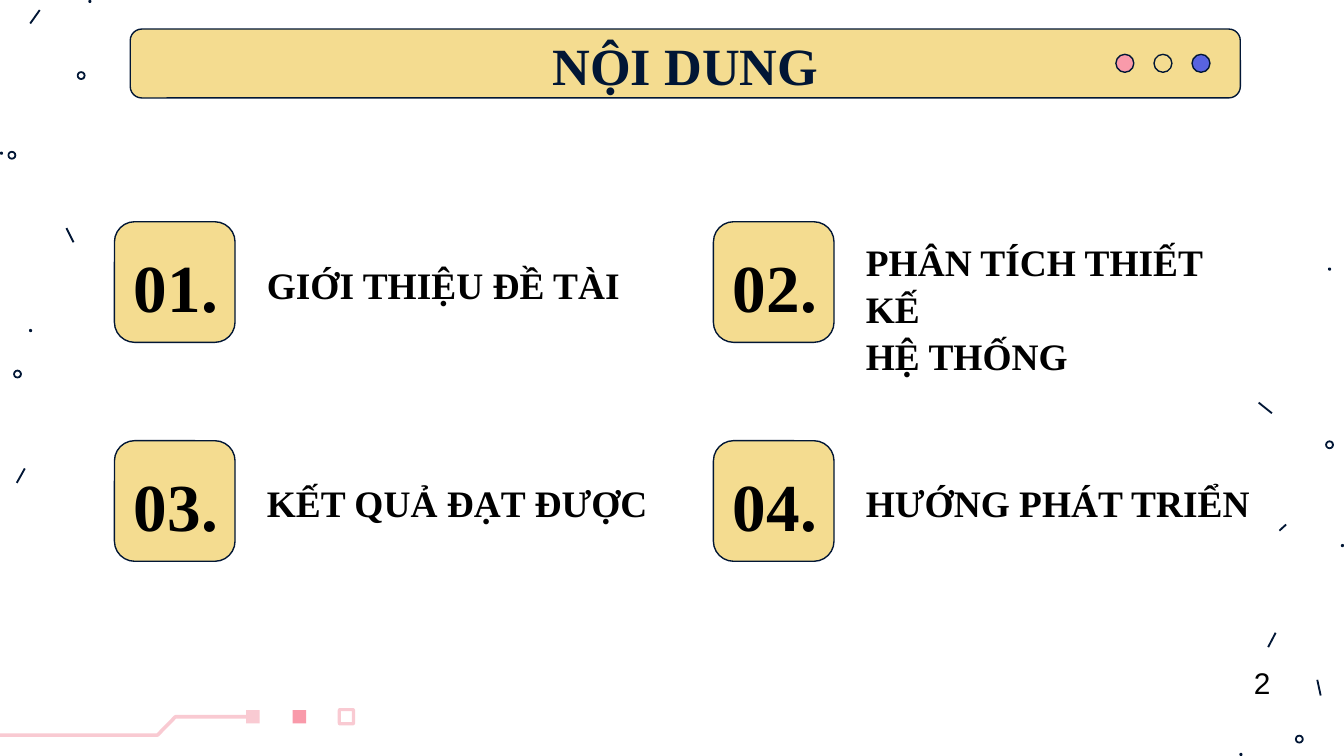
from lxml.etree import SubElement
from pptx import Presentation
from pptx.dml.color import RGBColor
from pptx.enum.shapes import MSO_CONNECTOR as Link, MSO_SHAPE as Shape
from pptx.enum.text import MSO_ANCHOR as Anchor, PP_ALIGN as Align
from pptx.oxml.ns import qn
from pptx.util import Pt

COLORS = {"ink": "011635", "gold": "F4DC90", "pink": "F99AAA",
          "blush": "F9CAD2", "blue": "5863E0", "black": "000000"}
SERIF = "Times New Roman"

STROKES = [(21.3, 5.4, 16.2, 12.6), (35.6, 122.2, 39.4, 129.8),
           (13.3, 251, 9, 258.7), (674.3, 215.7, 681.4, 221.4),
           (705.7, 364.2, 707.5, 372.6), (683.4, 339, 679.4, 346.7),
           (689, 281, 685.4, 284.3)]
RINGS = [(43.5, 40.5), (9.4, 200.4), (6.4, 83.2), (712.3, 238.3), (696.1, 396)]
DOTS = [(16.4, 177.1), (48.2, 0.8), (0.8, 82.1), (719.2, 292.3),
        (664.8, 404.2), (712.3, 144.2)]
TOPICS = [["GIỚI THIỆU ĐỀ TÀI"], ["PHÂN TÍCH THIẾT KẾ", "HỆ THỐNG"],
          ["KẾT QUẢ ĐẠT ĐƯỢC"], ["HƯỚNG PHÁT TRIỂN"]]


def color(name):
    """Return the named colour."""
    return RGBColor.from_string(COLORS[name])


def add_figure(page, kind, box, fill=None, line=None, width=0.75, adjust=None):
    """Add a preset shape with a plain fill and outline."""
    figure = page.shapes.add_shape(kind, *map(Pt, box))
    figure.shadow.inherit = False
    if fill:
        figure.fill.solid()
        figure.fill.fore_color.rgb = color(fill)
    else:
        figure.fill.background()
    if line:
        figure.line.color.rgb = color(line)
        figure.line.width = Pt(width)
    else:
        figure.line.fill.background()
    if adjust is not None:
        figure.adjustments[0] = adjust
    return figure


def add_text(page, box, lines, size, font=SERIF, ink="black", bold=True, align=Align.LEFT,
             anchor=Anchor.TOP, margins=(7.2, 3.6, 7.2, 3.6), spacing=None, wrap=True):
    """Add a text box with one paragraph for each line."""
    frame = page.shapes.add_textbox(*map(Pt, box)).text_frame
    frame.word_wrap = wrap
    frame.vertical_anchor = anchor
    (frame.margin_left, frame.margin_top,
     frame.margin_right, frame.margin_bottom) = map(Pt, margins)
    for index, line in enumerate(lines):
        para = frame.add_paragraph() if index else frame.paragraphs[0]
        para.alignment = align
        if spacing:
            para.line_spacing = spacing
        span = para.add_run()
        span.text = line
        span.font.name, span.font.size, span.font.bold = font, Pt(size), bold
        span.font.color.rgb = color(ink)


def add_confetti(page):
    """Scatter the strokes, rings and dots along both sides."""
    for ends in STROKES:
        stroke = page.shapes.add_connector(Link.STRAIGHT, *map(Pt, ends))
        stroke.line.color.rgb = color("ink")
        stroke.line.width = Pt(1)
        SubElement(stroke._element.spPr, qn("a:effectLst"))
    for kind, centers, size, adjust in [(Shape.DONUT, RINGS, 4.7, 0.21),
                                        (Shape.OVAL, DOTS, 1.7, None)]:
        for x, y in centers:
            box = (x - size / 2, y - size / 2, size, size)
            add_figure(page, kind, box, "ink", adjust=adjust)


def add_circuit(page, left, top):
    """Draw the bent trace and the three squares after it."""
    points = [(left + x, top + y) for x, y in
              [(0, 9.8), (84.4, 9.8), (94, 0), (132, 0)]]
    builder = page.shapes.build_freeform(*map(Pt, points[0]))
    builder.add_line_segments([(Pt(x), Pt(y)) for x, y in points[1:]], close=False)
    trace = builder.convert_to_shape()
    trace.shadow.inherit = False
    trace.fill.background()
    trace.line.color.rgb = color("blush")
    trace.line.width = Pt(1.9)
    for x, fill in [(131.9, "blush"), (156.8, "pink")]:
        add_figure(page, Shape.RECTANGLE, (left + x, top - 3.6, 7.2, 7.2), fill)
    add_figure(page, Shape.ROUNDED_RECTANGLE, (left + 181.8, top - 3.8, 7.6, 7.6),
               line="blush", width=1.7, adjust=0.05)


def add_title_bar(page, left, top, width, height):
    """Draw the title bar with its three round buttons."""
    add_figure(page, Shape.ROUNDED_RECTANGLE, (left, top, width, height),
               "gold", "ink", adjust=0.167)
    add_text(page, (left + 16.6, top - 1.4, 561.6, 45.4), ["NỘI DUNG"], 28, ink="ink",
             align=Align.CENTER, margins=(0, 3.5, 0, 0))
    for index, fill in enumerate(["pink", "gold", "blue"]):
        add_figure(page, Shape.OVAL, (left + 528 + 20.4 * index, top + 13.5, 9.6, 9.6),
                   fill, "ink")


def add_topic(page, left, top, number, lines):
    """Draw one numbered tile with its heading."""
    add_figure(page, Shape.ROUNDED_RECTANGLE, (left, top, 64.6, 64.6),
               "gold", "ink", adjust=0.167)
    add_text(page, (left - 4.5, top + 10.1, 75, 48.2), [f"{number:02}."], 36,
             align=Align.CENTER, anchor=Anchor.MIDDLE, margins=(0, 0, 0, 0))
    height = 7.4 + 24.1 * len(lines)
    add_text(page, (left + 74.6, top + 32.4 - height / 2, 226, height), lines, 20,
             spacing=1.05, wrap=False)


def add_contents(page):
    """Compose the contents page."""
    add_confetti(page)
    add_circuit(page, 0, 384)
    add_title_bar(page, 69.8, 15.6, 594.7, 36.9)
    for index, lines in enumerate(TOPICS):
        row, column = divmod(index, 2)
        add_topic(page, 61.3 + 320.9 * column, 118.8 + 117.3 * row, index + 1, lines)
    add_text(page, (664.6, 352.8, 24.5, 26.6), ["2"], 16, font="Arial", bold=False)


deck = Presentation()
deck.slide_width, deck.slide_height = Pt(720), Pt(405)
add_contents(deck.slides.add_slide(deck.slide_layouts[6]))
deck.save("out.pptx")
